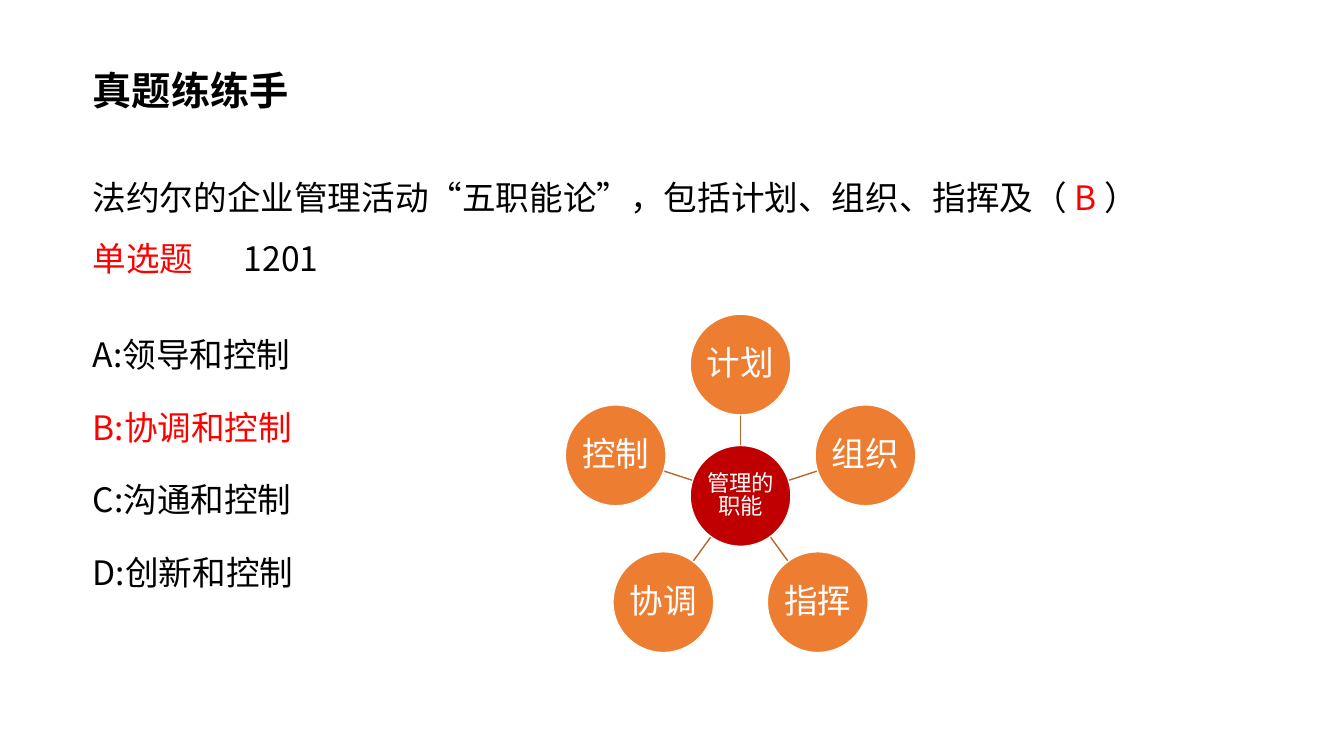
from dataclasses import dataclass
from math import cos, radians, sin

from lxml import etree
from pptx import Presentation
from pptx import util as u
from pptx.dml.color import RGBColor
from pptx.enum import shapes, text
from pptx.oxml import ns


@dataclass(frozen=True)
class Theme:
    ink: str = "000000"
    red: str = "FF0000"
    white: str = "FFFFFF"
    hub: str = "C00000"
    node: str = "ED7D31"
    spoke: str = "BE6427"
    face: str = "Noto Sans CJK SC"
    ring: str = "Noto Sans CJK JP"
    head: float = 28
    body: float = 24
    small: float = 16


@dataclass(frozen=True)
class Piece:
    words: str
    color: str


@dataclass(frozen=True)
class Line:
    pieces: tuple[Piece, ...]
    pitch: float
    gap: float = 0
    tab: float = 0


@dataclass(frozen=True)
class Disc:
    words: str
    x: float
    y: float
    fill: str
    size: float
    pitch: float


T = Theme()
MID_X, MID_Y = 529, 354.25
SIDE, ORBIT = 72, 93.8
NEAR, FAR = 36.5, 57.5
NODES = ("计划", "组织", "指挥", "协调", "控制")
LINES = (
    Line((Piece("法约尔的企业管理活动“五职能论”，包括计划、组织、指挥及（ ", T.ink),
          Piece("B", T.red), Piece(" ）", T.ink)), 43.5),
    Line((Piece("单选题\t", T.red), Piece("1201", T.ink)), 43.5, tab=89.5),
    Line((Piece("A:领导和控制", T.ink),), 51.8, gap=16.7),
    Line((Piece("B:协调和控制", T.red),), 51.8),
    Line((Piece("C:沟通和控制", T.ink),), 51.8),
    Line((Piece("D:创新和控制", T.ink),), 51.8),
)


def style(para, face: str, size: float, color: str, bold: bool = False) -> None:
    font = para.font
    font.name, font.size, font.bold = face, u.Pt(size), bold
    font.color.rgb = RGBColor.from_string(color)
    east = etree.SubElement(font._element, ns.qn("a:ea"))
    east.set("typeface", face)


def place(shape, left: float, top: float, wide: float, high: float) -> None:
    shape.left, shape.top = u.Pt(left), u.Pt(top)
    shape.width, shape.height = u.Pt(wide), u.Pt(high)
    frame = shape.text_frame
    frame.word_wrap = True
    frame.auto_size = text.MSO_AUTO_SIZE.NONE
    frame.vertical_anchor = text.MSO_ANCHOR.TOP
    frame.margin_left = frame.margin_right = u.Pt(8.64)
    frame.margin_top = frame.margin_bottom = u.Pt(4.32)


def add_line(para, line: Line) -> None:
    para.line_spacing = u.Pt(line.pitch)
    para.space_before, para.space_after = u.Pt(line.gap), u.Pt(0)
    props = para._p.get_or_add_pPr()
    props.set("marL", "0")
    props.set("indent", "0")
    etree.SubElement(props, ns.qn("a:buNone"))
    if line.tab:
        tabs = etree.SubElement(props, ns.qn("a:tabLst"))
        stop = etree.SubElement(tabs, ns.qn("a:tab"))
        stop.set("pos", str(u.Pt(line.tab)))
        stop.set("algn", "l")
    style(para, T.face, T.body, line.pieces[0].color)
    for piece in line.pieces:
        run = para.add_run()
        run.text = piece.words
        if len(line.pieces) > 1:
            run.font.color.rgb = RGBColor.from_string(piece.color)


def add_disc(slide, disc: Disc) -> None:
    oval = slide.shapes.add_shape(
        shapes.MSO_SHAPE.OVAL, u.Pt(disc.x - SIDE / 2), u.Pt(disc.y - SIDE / 2),
        u.Pt(SIDE), u.Pt(SIDE))
    oval.shadow.inherit = False
    oval.fill.solid()
    oval.fill.fore_color.rgb = RGBColor.from_string(disc.fill)
    oval.line.color.rgb = RGBColor.from_string(T.white)
    oval.line.width = u.Pt(1)
    frame = oval.text_frame
    frame.word_wrap = True
    frame.vertical_anchor = text.MSO_ANCHOR.MIDDLE
    frame.margin_left = frame.margin_right = u.Pt(1)
    frame.margin_top = frame.margin_bottom = u.Pt(1)
    para = frame.paragraphs[0]
    para.text = disc.words
    para.alignment = text.PP_ALIGN.CENTER
    para.line_spacing = disc.pitch
    style(para, T.ring, disc.size, T.white)


def add_spoke(slide, dx: float, dy: float) -> None:
    link = slide.shapes.add_connector(
        shapes.MSO_CONNECTOR.STRAIGHT,
        u.Pt(MID_X + NEAR * dx), u.Pt(MID_Y + NEAR * dy),
        u.Pt(MID_X + FAR * dx), u.Pt(MID_Y + FAR * dy))
    link.line.color.rgb = RGBColor.from_string(T.spoke)
    link.line.width = u.Pt(1)
    etree.SubElement(link._element.spPr, ns.qn("a:effectLst"))


def main() -> None:
    deck = Presentation()
    deck.slide_width, deck.slide_height = u.Pt(960), u.Pt(540)
    slide = deck.slides.add_slide(deck.slide_layouts[1])

    title = slide.shapes.title
    place(title, 57.6, 46.8, 694.8, 42.5)
    para = title.text_frame.paragraphs[0]
    para.text = "真题练练手"
    para.alignment = text.PP_ALIGN.LEFT
    para.line_spacing = 0.9
    style(para, T.face, T.head, T.ink, bold=True)

    body = slide.placeholders[1]
    place(body, 57.6, 107.5, 902.4, 395)
    frame = body.text_frame
    for i, line in enumerate(LINES):
        add_line(frame.add_paragraph() if i else frame.paragraphs[0], line)

    add_disc(slide, Disc("管理的职能", MID_X, MID_Y, T.hub, T.small, 0.87))
    for i, name in enumerate(NODES):
        turn = radians(360 / len(NODES) * i)
        dx, dy = sin(turn), -cos(turn)
        add_spoke(slide, dx, dy)
        add_disc(slide, Disc(name, MID_X + ORBIT * dx, MID_Y + ORBIT * dy,
                             T.node, T.body, 0.9))

    deck.save("out.pptx")


if __name__ == "__main__":
    main()
